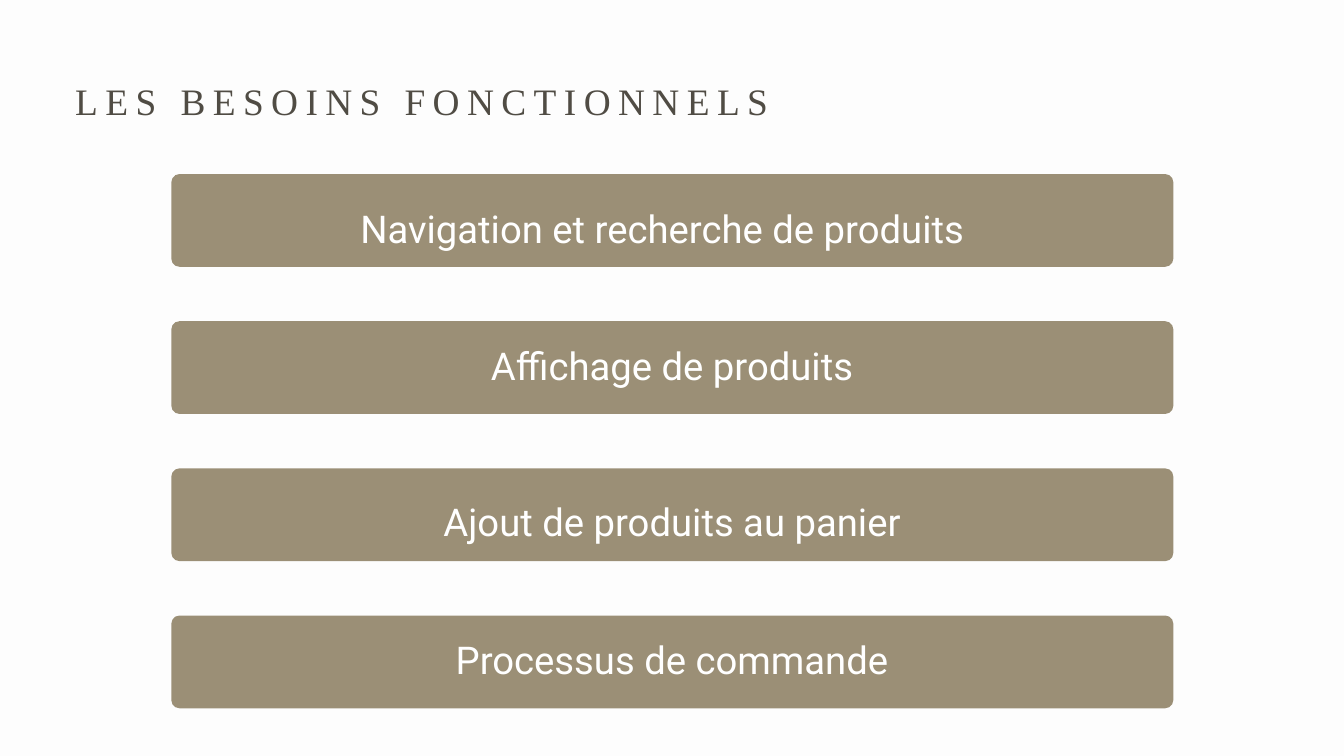
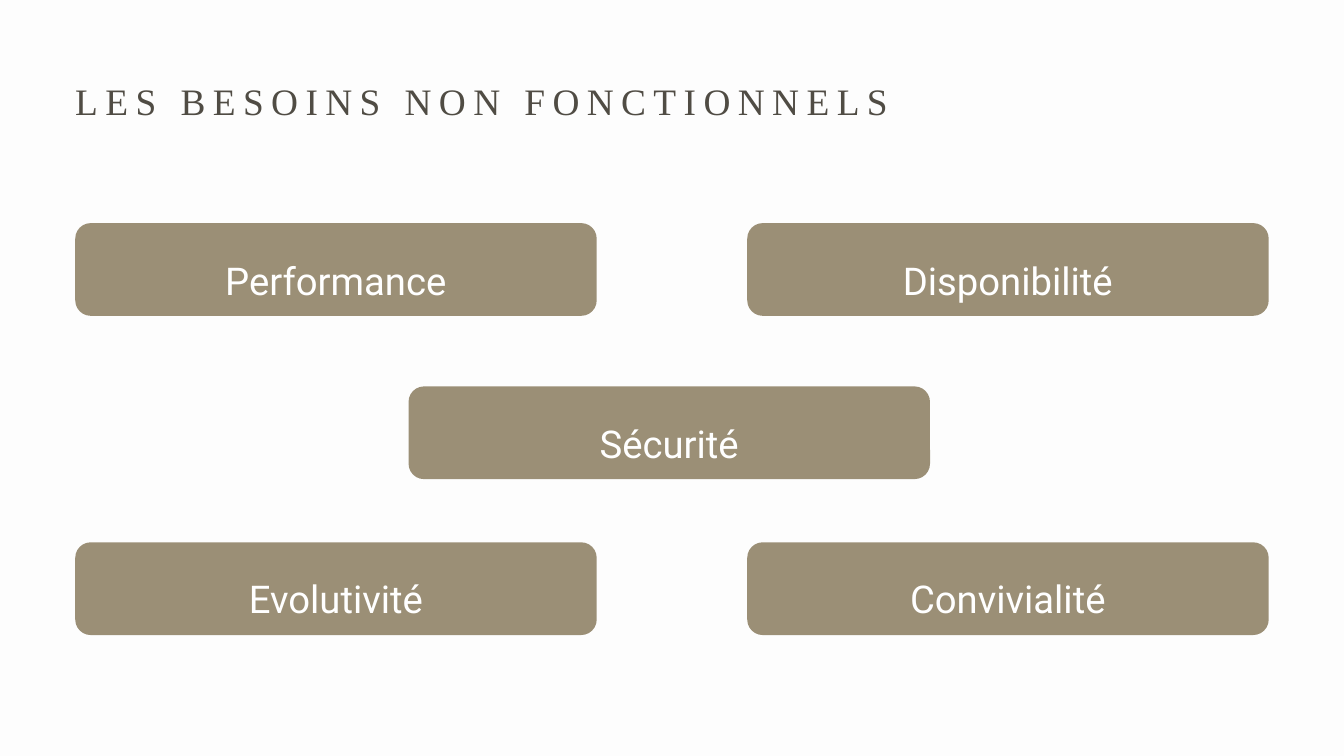
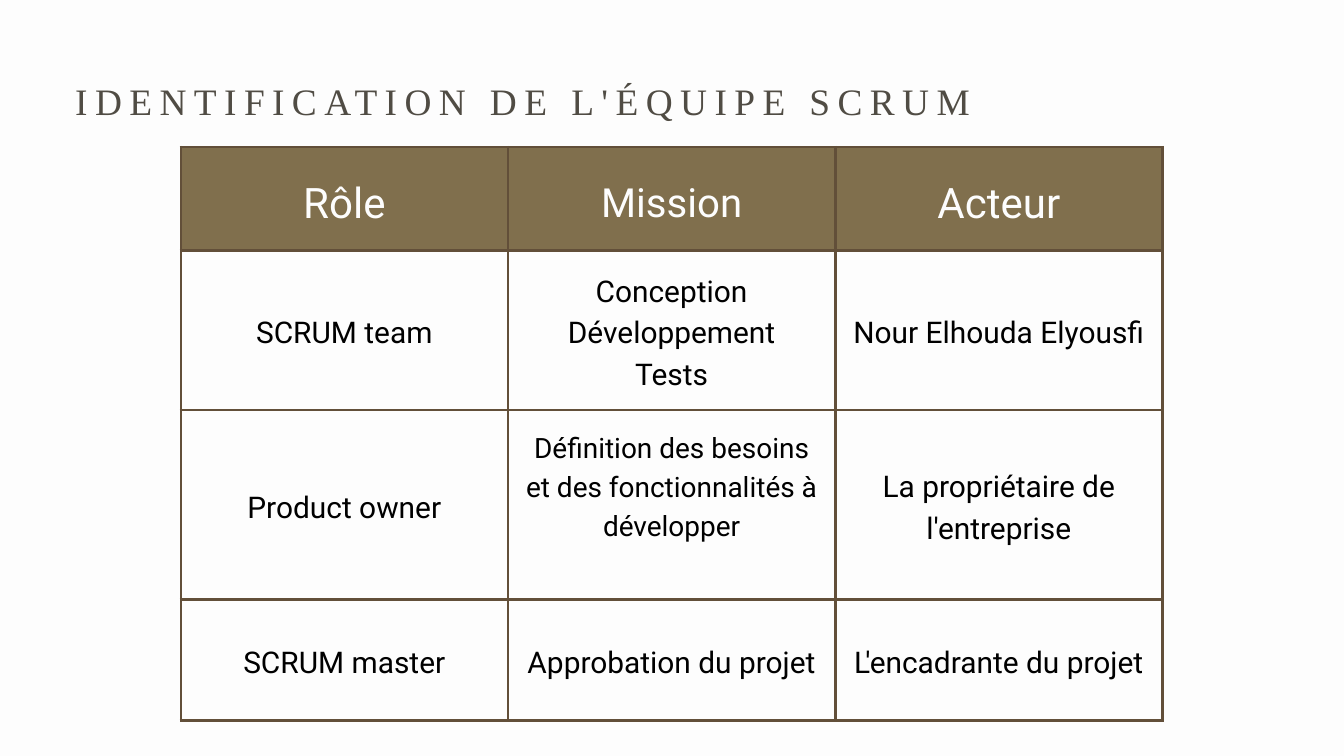
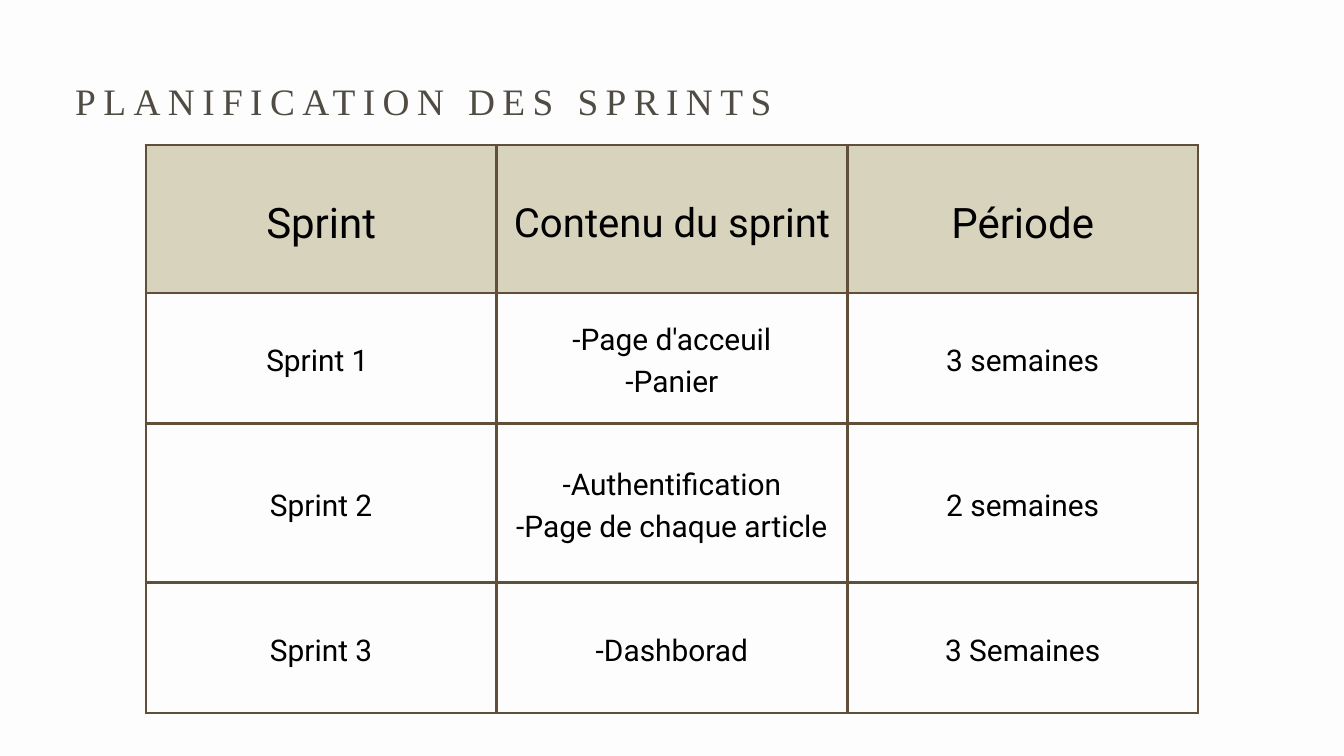
import typing

import pptx
import pptx.dml.color
import pptx.enum.shapes
import pptx.enum.text
import pptx.oxml
import pptx.oxml.ns
import pptx.util

Inches = pptx.util.Inches
Pt = pptx.util.Pt

# Shared look
PAPER, WHITE, BLACK = "FDFDFD", "FFFFFF", "000000"
TITLE_INK, BAR_FILL, BORDER = "504C44", "9B8F76", "624F39"
BODY_FONT, TITLE_FONT = "Roboto", "Times New Roman"
LINE_RATIO = 1.4
BAR_HEIGHT = 1.38
LABEL_OVERHANG = 2  # label box reaches this far below its bar
CELL_MARGIN = 0.21


class Bar(typing.NamedTuple):
    text: str
    left: float
    top: float
    label_height: float


class BarStyle(typing.NamedTuple):
    width: float
    radius: float


class Cell(typing.NamedTuple):
    text: str
    size: float = 32
    bottom: float = CELL_MARGIN


class Grid(typing.NamedTuple):
    left: float
    top: float
    col_width: float
    row_heights: list[float]
    head_fill: str
    head_ink: str
    rows: list[list[Cell]]


def rgb(value: str) -> pptx.dml.color.RGBColor:
    return pptx.dml.color.RGBColor.from_string(value)


def write(tf, text: str, size: float, color: str, font: str = BODY_FONT,
          align=pptx.enum.text.PP_ALIGN.CENTER, tracking: float = 0) -> None:
    """Fill a text frame, one paragraph per line of text."""
    tf.word_wrap = True
    for i, line in enumerate(text.split("\n")):
        p = tf.add_paragraph() if i else tf.paragraphs[0]
        p.alignment = align
        p.line_spacing = Pt(round(size * LINE_RATIO, 1))
        r = p.add_run()
        r.text = line
        r.font.name = font
        r.font.size = Pt(size)
        r.font.color.rgb = rgb(color)
        if tracking:
            r.font._element.set("spc", str(int(tracking * 100)))


def set_margins(tf, margin: float) -> None:
    tf.margin_left = tf.margin_right = Inches(margin)
    tf.margin_top = tf.margin_bottom = Inches(margin)


def add_title(s, text: str, width: float) -> None:
    sp = s.shapes.add_textbox(Inches(1.12), Inches(1.05), Inches(width), Inches(0.73))
    tf = sp.text_frame
    set_margins(tf, 0)
    write(tf, text, 40, TITLE_INK, TITLE_FONT, pptx.enum.text.PP_ALIGN.LEFT, tracking=8)
    tf.auto_size = pptx.enum.text.MSO_AUTO_SIZE.SHAPE_TO_FIT_TEXT


def add_bar(s, bar: Bar, style: BarStyle, label_width: float) -> None:
    """Group a rounded bar with its label."""
    group = s.shapes.add_group_shape()
    sp = group.shapes.add_shape(
        pptx.enum.shapes.MSO_SHAPE.ROUNDED_RECTANGLE,
        Inches(bar.left), Inches(bar.top), Inches(style.width), Inches(BAR_HEIGHT))
    sp.adjustments[0] = style.radius / BAR_HEIGHT
    sp.shadow.inherit = False
    sp.fill.solid()
    sp.fill.fore_color.rgb = rgb(BAR_FILL)
    sp.line.fill.background()

    label_top = bar.top + BAR_HEIGHT + LABEL_OVERHANG - bar.label_height
    label = group.shapes.add_textbox(Inches(bar.left), Inches(label_top),
                                     Inches(label_width), Inches(bar.label_height))
    tf = label.text_frame
    set_margins(tf, 0.06)
    tf.vertical_anchor = pptx.enum.text.MSO_ANCHOR.MIDDLE
    write(tf, bar.text, 41, WHITE)


def add_borders(cell, color: str, width: float) -> None:
    tc_pr = cell._tc.get_or_add_tcPr()
    for side in ("lnL", "lnR", "lnT", "lnB"):
        tc_pr.append(pptx.oxml.parse_xml(
            f'<a:{side} {pptx.oxml.ns.nsdecls("a")} w="{Pt(width)}">'
            f'<a:solidFill><a:srgbClr val="{color}"/></a:solidFill></a:{side}>'))


def add_grid(s, grid: Grid) -> None:
    cols = len(grid.rows[0])
    table = s.shapes.add_table(
        len(grid.rows), cols, Inches(grid.left), Inches(grid.top),
        Inches(grid.col_width * cols), Inches(sum(grid.row_heights))).table
    table.horz_banding = False
    for col in table.columns:
        col.width = Inches(grid.col_width)
    for i, (height, row) in enumerate(zip(grid.row_heights, grid.rows)):
        table.rows[i].height = Inches(height)
        for j, content in enumerate(row):
            cell = table.cell(i, j)
            add_borders(cell, BORDER, 3)
            set_margins(cell, CELL_MARGIN)
            cell.margin_bottom = Inches(content.bottom)
            cell.vertical_anchor = pptx.enum.text.MSO_ANCHOR.MIDDLE
            if i == 0:
                cell.fill.solid()
                cell.fill.fore_color.rgb = rgb(grid.head_fill)
            else:
                cell.fill.background()
            write(cell.text_frame, content.text, content.size,
                  BLACK if i else grid.head_ink)


def header(*names: str) -> list[Cell]:
    return [Cell(name, size) for name, size in zip(names, (45, 43, 45))]


# Slide contents
WIDE = BarStyle(14.91, 0.12)
NARROW = BarStyle(7.76, 0.23)
LEFT, MIDDLE, RIGHT = 1.12, 6.08, 11.12

FUNCTIONAL = [
    Bar(text, 2.55, 2.59 + 2.19 * i, height)
    for i, (text, height) in enumerate([
        ("Navigation et recherche de produits", 5.26),
        ("Affichage de produits", 5.56),
        ("Ajout de produits au panier", 5.3),
        ("Processus de commande", 5.56),
    ])
]

NON_FUNCTIONAL = [
    Bar("Performance", LEFT, 3.32, 5.16),
    Bar("Disponibilité", RIGHT, 3.32, 5.16),
    Bar("Sécurité", MIDDLE, 5.75, 5.17),
    Bar("Evolutivité", LEFT, 8.07, 5.21),
    Bar("Convivialité", RIGHT, 8.07, 5.21),
]

TEAM = Grid(2.69, 2.19, 4.87, [1.54, 2.37, 2.82, 1.8], "806F4D", PAPER, [
    header("Rôle", "Mission", "Acteur"),
    [Cell("SCRUM team"), Cell("Conception\nDéveloppement\nTests"),
     Cell("Nour Elhouda Elyousfi")],
    [Cell("Product owner"),
     Cell("Définition des besoins et des fonctionnalités à développer", 30, 0.8),
     Cell("La propriétaire de l'entreprise")],
    [Cell("SCRUM master"), Cell("Approbation du projet"),
     Cell("L'encadrante du projet")],
])

SPRINTS = Grid(2.17, 2.16, 5.22, [2.2, 1.94, 2.37, 1.94], "D7D3BD", BLACK, [
    header("Sprint", "Contenu du sprint", "Période"),
    [Cell("Sprint 1 "), Cell("-Page d'acceuil\n-Panier"), Cell("3 semaines")],
    [Cell("Sprint 2"), Cell("-Authentification\n-Page de chaque article"),
     Cell("2 semaines")],
    [Cell("Sprint 3"), Cell("-Dashborad"), Cell("3 Semaines")],
])


def main() -> None:
    prs = pptx.Presentation()
    prs.slide_width, prs.slide_height = Inches(20), Inches(11.25)
    background = prs.slide_master.background.fill
    background.solid()
    background.fore_color.rgb = rgb(PAPER)
    blank = prs.slide_layouts[6]

    # Needs, as labelled bars
    for title, width, bars, style in (
        ("LES BESOINS FONCTIONNELS", 10.77, FUNCTIONAL, WIDE),
        ("LES BESOINS NON FONCTIONNELS", 12.96, NON_FUNCTIONAL, NARROW),
    ):
        s = prs.slides.add_slide(blank)
        add_title(s, title, width)
        for bar in bars:
            # The first wide label sits slightly left of centre
            label_width = 14.62 if bar is FUNCTIONAL[0] else style.width
            add_bar(s, bar, style, label_width)

    # Team and planning, as tables
    for title, grid in (
        ("IDENTIFICATION DE L'ÉQUIPE SCRUM", TEAM),
        ("PLANIFICATION DES SPRINTS", SPRINTS),
    ):
        s = prs.slides.add_slide(blank)
        add_title(s, title, 14.23)
        add_grid(s, grid)

    prs.save("out.pptx")


if __name__ == "__main__":
    main()
